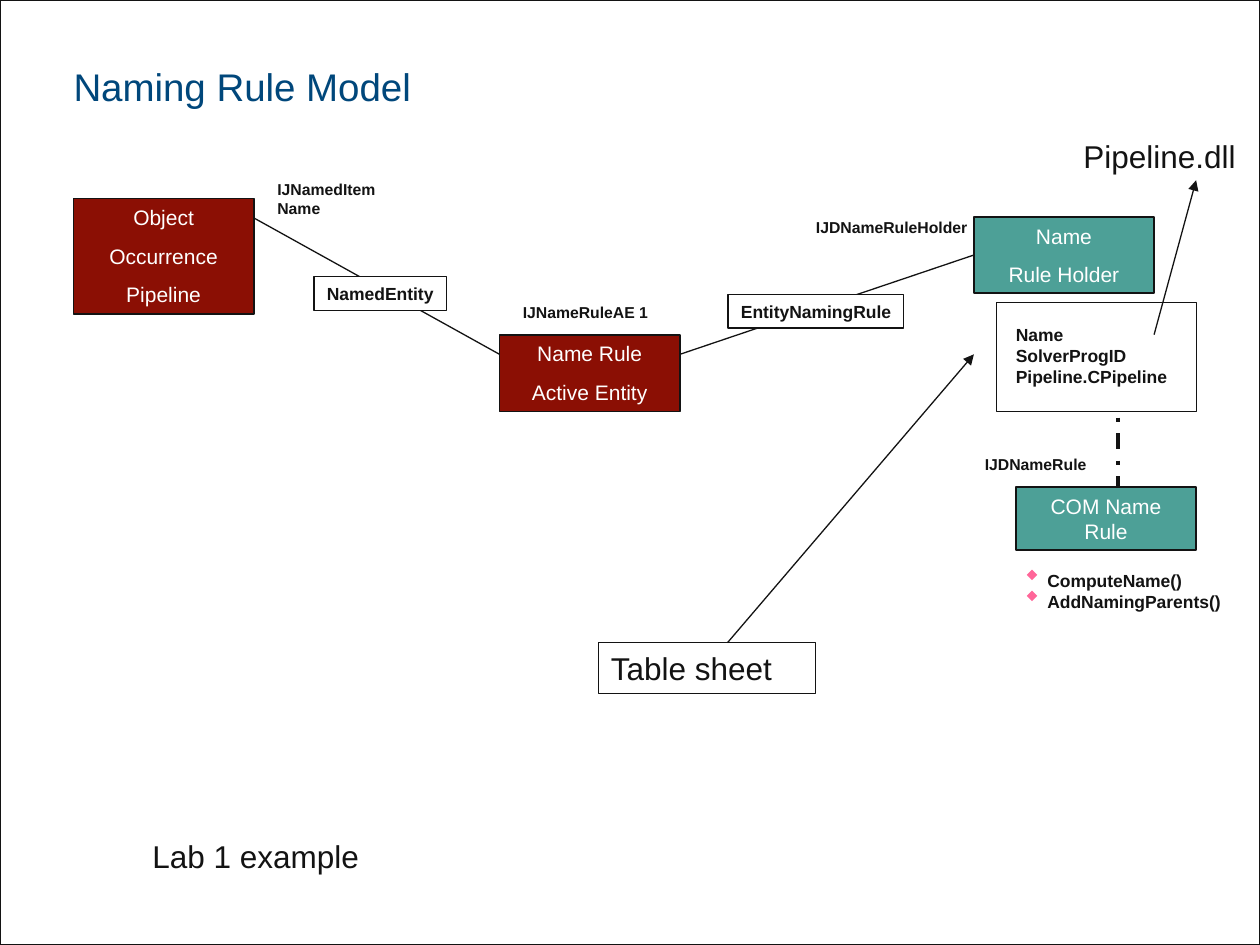
from lxml import etree
from pptx import Presentation
from pptx import util as u
from pptx.dml.color import RGBColor
from pptx.enum import dml, shapes, text
from pptx.oxml import ns

Pt = u.Pt
COLORS = {
    "backdrop": "CED8D9", "white": "FFFFFF", "ink": "131313", "title": "00477B",
    "entity": "8B0F04", "rule": "4DA097", "bullet": "FF6699",
}
LEFT, CENTER = text.PP_ALIGN.LEFT, text.PP_ALIGN.CENTER
RECTANGLE, DIAMOND = shapes.MSO_SHAPE.RECTANGLE, shapes.MSO_SHAPE.DIAMOND


def color(name):
    return RGBColor.from_string(COLORS[name])


deck = Presentation()
deck.slide_width, deck.slide_height = Pt(720), Pt(540)
page = deck.slides.add_slide(deck.slide_layouts[6])
page.background.fill.solid()
page.background.fill.fore_color.rgb = color("backdrop")


def add_box(area, fill=None, line=0, lines=(), size=12, font="ink", bold=False,
            align=LEFT, gap=0, margins=(0, 0), wrap=True, shape=RECTANGLE):
    """Add a shape, or a plain text box when it has neither fill nor line."""
    area = [Pt(value) for value in area]
    if fill or line:
        box = page.shapes.add_shape(shape, *area)
        box.shadow.inherit = False
        if fill:
            box.fill.solid()
            box.fill.fore_color.rgb = color(fill)
        else:
            box.fill.background()
        if line:
            box.line.color.rgb = color("ink")
            box.line.width = Pt(line)
        else:
            box.line.fill.background()
    else:
        box = page.shapes.add_textbox(*area)
    frame = box.text_frame
    frame.word_wrap = wrap
    frame.vertical_anchor = text.MSO_ANCHOR.TOP
    frame.margin_left = frame.margin_right = Pt(margins[0])
    frame.margin_top = frame.margin_bottom = Pt(margins[1])
    for index, words in enumerate(lines):
        para = frame.add_paragraph() if index else frame.paragraphs[0]
        para.text = words
        para.alignment = align
        if index and gap:
            para.space_before = Pt(gap)
        for span in para.runs:
            span.font.name = "Arial"
            span.font.size = Pt(size)
            span.font.bold = bold
            span.font.color.rgb = color(font)
    return box


def add_line(start, end, width=0.75, arrow=False):
    line = page.shapes.add_connector(
        shapes.MSO_CONNECTOR.STRAIGHT, *[Pt(value) for value in (*start, *end)])
    line.line.color.rgb = color("ink")
    line.line.width = Pt(width)
    if arrow:
        outline = line.line._get_or_add_ln()
        etree.SubElement(outline, ns.qn("a:tailEnd"), type="triangle")
    etree.SubElement(line._element.spPr, ns.qn("a:effectLst"))
    return line


# Page frame and title
add_box((0, 0, 720, 540), "white", 0.75)
title = add_box((42, 9.5, 436, 53), lines=["Naming Rule Model"], size=22, font="title")
title.text_frame.vertical_anchor = text.MSO_ANCHOR.BOTTOM

# Coloured object boxes
objects = {}
for name, fill, area, lines in (
    ("occurrence", "entity", (42, 113.5, 103, 66), ["Object", "Occurrence", "Pipeline"]),
    ("active entity", "entity", (285.5, 191.25, 103, 44), ["Name Rule", "Active Entity"]),
    ("holder", "rule", (556.5, 124, 103, 43.5), ["Name", "Rule Holder"]),
    ("com rule", "rule", (580.5, 278.25, 103, 36), ["COM Name Rule"]),
):
    objects[name] = add_box(area, fill, 1, lines, font="white", align=CENTER,
                            gap=7.5, margins=(7.2, 3.6))

# Relations and their labels
add_line((285.5, 202.5), (145, 124.5))
holder_link = add_line((388.5, 202.5), (556.5, 145.75))
holder_link.end_connect(objects["holder"], 1)
for area, words in (((179.5, 158, 75.5, 19.5), "NamedEntity"),
                    ((416, 168.25, 100.5, 19.25), "EntityNamingRule")):
    add_box(area, "white", 0.75, [words], size=10, bold=True, align=CENTER,
            margins=(7.2, 3.6), wrap=False)

# Interface names
for area, lines in (
    ((158.5, 103, 127.5, 22), ["IJNamedItem", "Name"]),
    ((298.75, 173, 90, 11), ["IJNameRuleAE 1"]),
    ((466.25, 124.5, 90, 11), ["IJDNameRuleHolder"]),
    ((562.75, 260, 90, 11), ["IJDNameRule"]),
):
    add_box(area, lines=lines, size=9, bold=True)

# Rule attributes, tied to the COM rule
rule_link = add_line((639, 223), (639, 278.25), 2.25)
rule_link.line.dash_style = dml.MSO_LINE.DASH_DOT
add_box((569.25, 172.75, 114.5, 62), "white", 0.25)
add_box((580.5, 185.25, 103, 36), lines=["Name", "SolverProgID", "Pipeline.CPipeline"],
        size=10, bold=True)

# Rule methods with diamond markers
add_box((598.5, 325.75, 108, 24), lines=["ComputeName()", "AddNamingParents()"],
        size=10, bold=True)
for top in (325.5, 337.5):
    add_box((586.75, top, 6, 6), "bullet", shape=DIAMOND)

# Sheet and library, with arrows
add_box((342, 367.25, 124, 29), line=0.75, lines=["Table sheet"], size=18,
        margins=(7.2, 3.6))
add_line((415.75, 367.25), (556.5, 202.5), arrow=True)
add_line((659.5, 191.25), (683.5, 103), arrow=True)
for area, words in (((612, 74.5, 108, 29), "Pipeline.dll"),
                    ((80, 475, 309, 29), "Lab 1 example")):
    add_box(area, lines=[words], size=18, margins=(7.2, 3.6))

deck.save("out.pptx")
